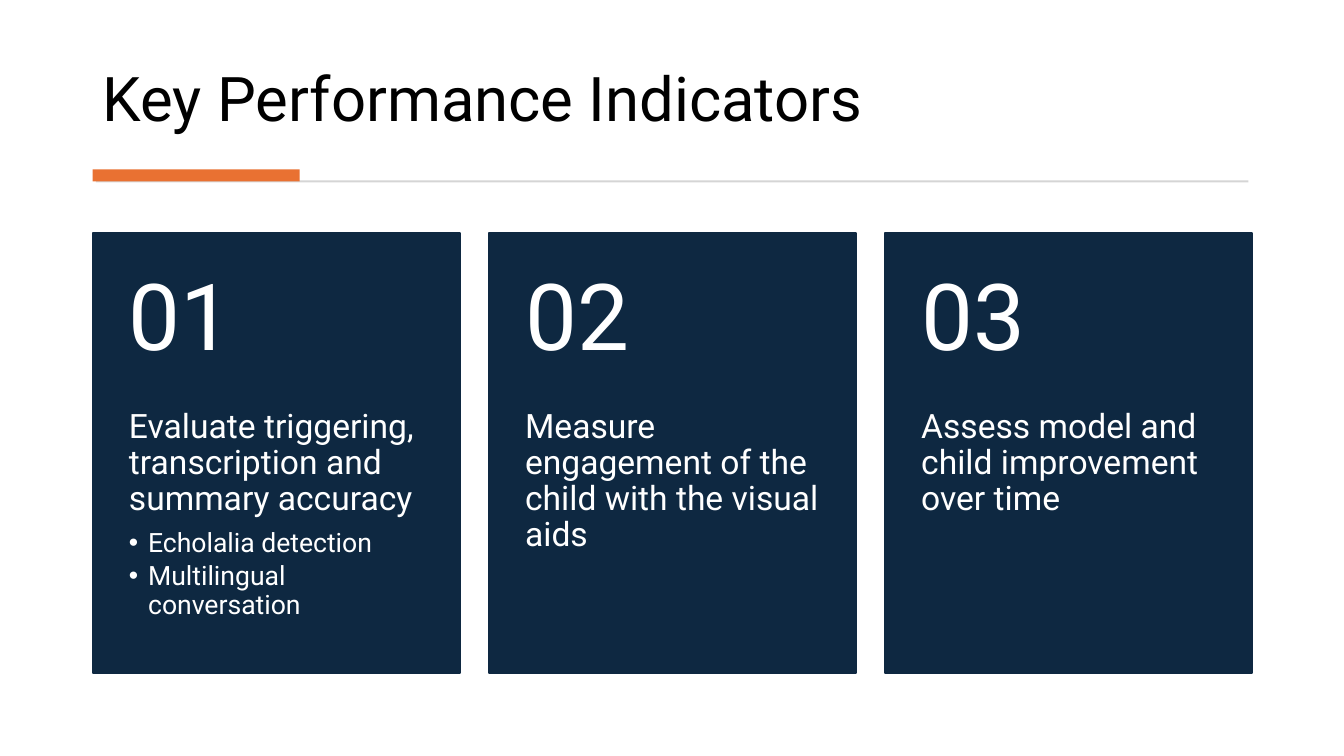
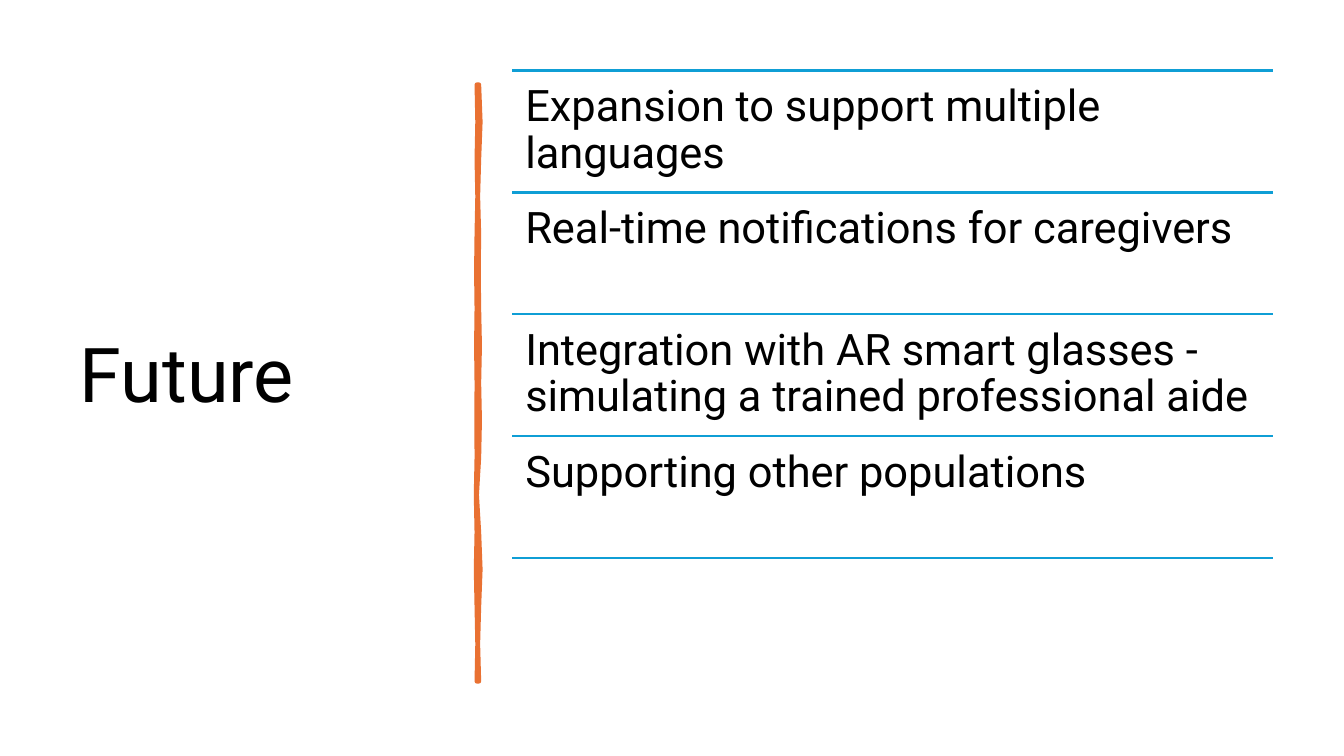
from lxml.etree import SubElement
from pptx import Presentation
from pptx.dml.color import RGBColor
from pptx.enum.shapes import MSO_CONNECTOR, MSO_SHAPE
from pptx.enum.text import MSO_ANCHOR, MSO_AUTO_SIZE, PP_ALIGN
from pptx.oxml.ns import qn
from pptx.util import Inches, Pt

WIDE, HIGH = Inches(13.33), Inches(7.5)
FONT = "Roboto"
BLACK, WHITE, GREY = "000000", "FFFFFF", "D5D5D5"
NAVY, ORANGE, BLUE = "0E2841", "E97132", "0F9ED5"

# Boxes are (left, top, width, height) in hundredths of the slide.
CARDS = [
    ("01", "Evaluate triggering, transcription and summary accuracy",
     ["Echolalia detection", "Multilingual conversation"]),
    ("02", "Measure engagement of the child with the visual aids", []),
    ("03", "Assess model and child improvement over time", []),
]
PLANS = [
    "Expansion to support multiple languages",
    "Real-time notifications for caregivers",
    "Integration with AR smart glasses - simulating a trained professional aide",
    "Supporting other populations",
]
# Edges of the brush stroke, top to bottom, as shares of its width.
LEFT = [.33, .45, .33, .45, .33, .25, .33, .25, .33,
        .3, .33, .2, .33, .2, .33, .45, .33]
RIGHT = [.67, .9, .67, .5, .67, .6, .67, .8, .67,
         .8, .67, .3, .67, .9, .67, .5, .67]


def color(code):
    return RGBColor.from_string(code)


def scale(box):
    """Turn a box in hundredths of the slide into lengths."""
    x, y, w, h = box
    return [round(part * full / 100) for part, full in
            ((x, WIDE), (y, HIGH), (w, WIDE), (h, HIGH))]


def paint(shape, fill, line=None, width=1.5):
    shape.shadow.inherit = False
    shape.fill.solid()
    shape.fill.fore_color.rgb = color(fill)
    if line:
        shape.line.color.rgb = color(line)
        shape.line.width = Pt(width)
    else:
        shape.line.fill.background()


def block(slide, box, fill, line=None):
    shape = slide.shapes.add_shape(MSO_SHAPE.RECTANGLE, *scale(box))
    paint(shape, fill, line)


def style(para, size, ink, after=0):
    para.alignment = PP_ALIGN.LEFT
    para.line_spacing = 0.9
    para.space_after = Pt(after)
    para.font.name = FONT
    para.font.size = Pt(size)
    para.font.color.rgb = color(ink)


def bullet(para):
    props = para._p.get_or_add_pPr()
    props.set("marL", str(Inches(0.19)))
    props.set("indent", str(-Inches(0.19)))
    SubElement(props, qn("a:buFont"), typeface="Arial")
    SubElement(props, qn("a:buChar"), char="•")


def label(slide, box, text, size, ink, inset, anchor=MSO_ANCHOR.TOP):
    """Add a text box; inset is left, top, right, bottom in inches."""
    frame = slide.shapes.add_textbox(*scale(box)).text_frame
    frame.word_wrap = True
    frame.vertical_anchor = anchor
    (frame.margin_left, frame.margin_top,
     frame.margin_right, frame.margin_bottom) = map(Inches, inset)
    frame.text = text
    style(frame.paragraphs[0], size, ink, after=size * 0.35)
    return frame


def title(slide, box, text, size, anchor):
    shape = slide.shapes.title
    shape.left, shape.top, shape.width, shape.height = scale(box)
    frame = shape.text_frame
    frame.text = text
    frame.auto_size = MSO_AUTO_SIZE.NONE
    frame.vertical_anchor = anchor
    style(frame.paragraphs[0], size, BLACK)


def card(slide, box, number, text, points):
    x, y, w, h = box
    top = h * 0.4
    block(slide, box, NAVY, NAVY)
    label(slide, (x, y, w, top), number, 66, WHITE,
          (0.36, 0.18, 0.36, 0.18), MSO_ANCHOR.MIDDLE)
    frame = label(slide, (x, y + top, w, h - top), text, 24, WHITE,
                  (0.36, 0, 0.36, 0.36))
    for point in points:
        para = frame.add_paragraph()
        para.text = point
        style(para, 19, WHITE, after=3)
        bullet(para)


def deck(slide, box, gap):
    """Spread the cards evenly over the box."""
    x, y, w, h = box
    step = (w + gap) / len(CARDS)
    for i, parts in enumerate(CARDS):
        card(slide, (x + i * step, y, step - gap, h), *parts)


def rule(slide, x, y, w):
    left, top, width, _ = scale((x, y, w, 0))
    line = slide.shapes.add_connector(
        MSO_CONNECTOR.STRAIGHT, left, top, left + width, top)
    line.line.color.rgb = color(BLUE)
    line.line.width = Pt(1.5)
    SubElement(line._element.spPr, qn("a:effectLst"))


def agenda(slide, box):
    """Stack the plans in equal rows with a rule around each."""
    x, y, w, h = box
    row = h / len(PLANS)
    for i, plan in enumerate(PLANS):
        rule(slide, x, y + i * row, w)
        label(slide, (x, y + i * row, w, row), plan, 31, BLACK, [0.13] * 4)
    rule(slide, x, y + h, w)


def stroke(slide, box):
    """Draw an upright brush stroke."""
    x, y, w, h = scale(box)

    def edge(shares):
        last = len(shares) - 1
        return [(round(x + s * w), round(y + i * h / last))
                for i, s in enumerate(shares)]

    dots = edge(RIGHT) + edge(LEFT)[::-1]
    pen = slide.shapes.build_freeform(*dots[0], scale=1.0)
    pen.add_line_segments(dots[1:], close=True)
    shape = pen.convert_to_shape()
    paint(shape, ORANGE, ORANGE, 3.25)
    SubElement(shape.line._get_or_add_ln(), qn("a:round"))


def metrics(slide):
    title(slide, (6.9, 3.73, 86.2, 14.8), "Key Performance Indicators", 44,
          MSO_ANCHOR.BOTTOM)
    block(slide, (7.13, 23.87, 85.75, 0.27), GREY)
    block(slide, (6.9, 22.4, 15.4, 1.6), ORANGE)
    deck(slide, (6.9, 30.8, 86.25, 58.27), 2.17)


def future(slide):
    title(slide, (5.18, 9.33, 28.06, 81.47), "Future", 54, MSO_ANCHOR.MIDDLE)
    stroke(slide, (35.33, 11.2, 0.45, 78.93))
    agenda(slide, (38.11, 9.33, 56.64, 64.53))


def main():
    show = Presentation()
    show.slide_width, show.slide_height = WIDE, HIGH
    for build in (metrics, future):
        build(show.slides.add_slide(show.slide_layouts[5]))
    show.save("out.pptx")


if __name__ == "__main__":
    main()
